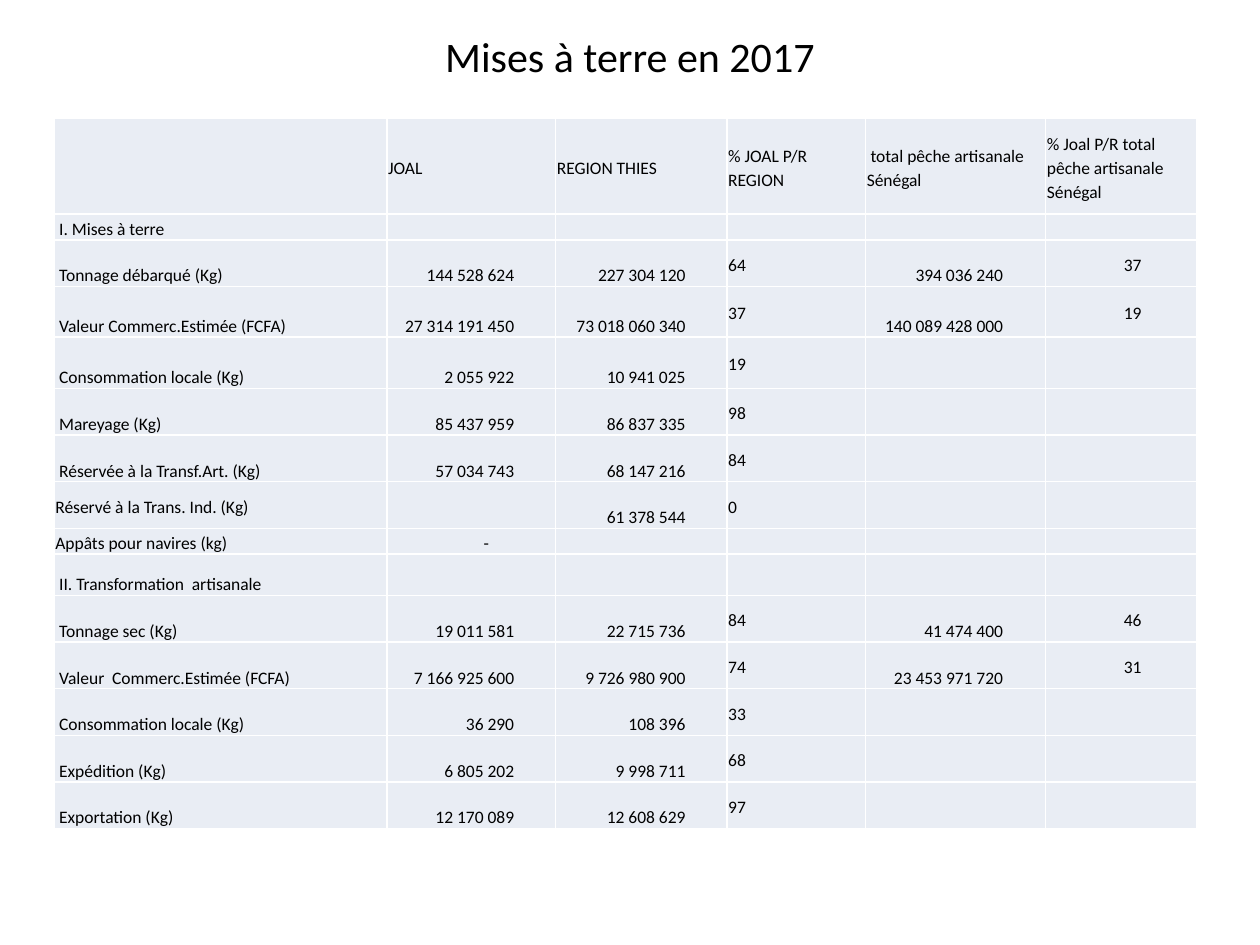
"""Build the slide on the 2017 landings at Joal."""
from dataclasses import dataclass

from lxml import etree
from pptx import Presentation
from pptx import util as u
from pptx.dml.color import RGBColor
from pptx.enum import text
from pptx.oxml import ns


@dataclass(frozen=True)
class Theme:
    """Hold the font, colours and type sizes."""
    font: str = "Calibri"
    ink: str = "000000"
    fill: str = "E9EDF4"
    rule: str = "FFFFFF"
    title: int = 24
    body: int = 10


HEAD = ["", "JOAL", "REGION THIES", "% JOAL P/R REGION",
        "total pêche artisanale Sénégal",
        "% Joal P/R total pêche artisanale Sénégal"]
DATA = [
    ["I. Mises à terre"],
    ["Tonnage débarqué (Kg)", "144 528 624", "227 304 120", "64", "394 036 240", "37"],
    ["Valeur Commerc.Estimée (FCFA)", "27 314 191 450", "73 018 060 340", "37",
     "140 089 428 000", "19"],
    ["Consommation locale (Kg)", "2 055 922", "10 941 025", "19"],
    ["Mareyage (Kg)", "85 437 959", "86 837 335", "98"],
    ["Réservée à la Transf.Art. (Kg)", "57 034 743", "68 147 216", "84"],
    ["Réservé à la Trans. Ind. (Kg)", "", "61 378 544", "0"],
    ["Appâts pour navires (kg)", "-"],
    ["II. Transformation  artisanale"],
    ["Tonnage sec (Kg)", "19 011 581", "22 715 736", "84", "41 474 400", "46"],
    ["Valeur  Commerc.Estimée (FCFA)", "7 166 925 600", "9 726 980 900", "74",
     "23 453 971 720", "31"],
    ["Consommation locale (Kg)", "36 290", "108 396", "33"],
    ["Expédition (Kg)", "6 805 202", "9 998 711", "68"],
    ["Exportation (Kg)", "12 170 089", "12 608 629", "97"],
]
WIDE = [26.4, 13.4, 13.6, 11, 14.3, 12]
TALL = [7.6, 1.9, 3.7, 4, 4.1, 3.7, 3.7, 3.7, 1.9, 3.3] + [3.7] * 5
PAD = {1: 3.3, 2: 3.3, 4: 3.4, 5: 4.4}
FLUSH = (7, 8)


class Deck:
    """Draw elements on a grid of 100 columns by 75 rows."""

    def __init__(self, theme):
        """Open a deck with one title-only slide."""
        self.theme = theme
        self.prs = Presentation()
        self.prs.slide_width, self.prs.slide_height = u.Inches(10), u.Inches(7.5)
        self.slide = self.prs.slides.add_slide(self.prs.slide_layouts[5])

    def unit(self, num):
        """Turn grid units into a length."""
        return int(self.prs.slide_width * num / 100)

    def style(self, par, size):
        """Format the runs of a paragraph."""
        for run in par.runs:
            run.font.name, run.font.size = self.theme.font, u.Pt(size)
            run.font.color.rgb = RGBColor.from_string(self.theme.ink)

    def title(self, words, *box):
        """Place and fill the title."""
        shape = self.slide.shapes.title
        shape.left, shape.top, shape.width, shape.height = map(self.unit, box)
        shape.text_frame.text = words
        shape.text_frame.vertical_anchor = text.MSO_ANCHOR.MIDDLE
        par = shape.text_frame.paragraphs[0]
        par.alignment = text.PP_ALIGN.CENTER
        self.style(par, self.theme.title)

    def edge(self, cell):
        """Draw the four borders of a cell."""
        props = cell._tc.get_or_add_tcPr()
        for side in ("lnL", "lnR", "lnT", "lnB"):
            line = etree.SubElement(props, ns.qn("a:" + side), w=str(u.Pt(1)))
            paint = etree.SubElement(line, ns.qn("a:solidFill"))
            etree.SubElement(paint, ns.qn("a:srgbClr"), val=self.theme.rule)

    def cell(self, cell, words, row, col):
        """Fill and format one cell by its place in the table."""
        self.edge(cell)
        cell.fill.solid()
        cell.fill.fore_color.rgb = RGBColor.from_string(self.theme.fill)
        cell.margin_left = cell.margin_right = cell.margin_top = self.unit(0.1)
        cell.margin_bottom = 0
        cell.text_frame.text = words
        par = cell.text_frame.paragraphs[0]
        par.line_spacing, par.space_after = 1.15, u.Pt(10)
        mid = row == 0 or col in (3, 5) or (col == 0 and row in FLUSH)
        cell.vertical_anchor = text.MSO_ANCHOR.MIDDLE if mid else text.MSO_ANCHOR.BOTTOM
        if row and col in PAD:
            par.alignment = text.PP_ALIGN.RIGHT
            cell.margin_right = self.unit(PAD[col] + 2 * (words == "-"))
        elif col == 0 and not mid:
            cell.margin_left = self.unit(0.4)
        elif row == 0 and col == 4:
            par._p.get_or_add_pPr().set("indent", str(self.unit(0.3)))
        self.style(par, self.theme.body)
        if not words:
            end = etree.SubElement(par._p, ns.qn("a:endParaRPr"))
            end.set("sz", str(self.theme.body * 100))

    def table(self, rows, left, top):
        """Add the table at a grid point."""
        box = map(self.unit, (left, top, sum(WIDE), sum(TALL)))
        grid = self.slide.shapes.add_table(len(rows), len(WIDE), *box).table
        grid.first_row = grid.horz_banding = False
        for col, wide in zip(grid.columns, WIDE):
            col.width = self.unit(wide)
        for row, tall in zip(grid.rows, TALL):
            row.height = self.unit(tall)
        for r, row in enumerate(rows):
            for c in range(len(WIDE)):
                self.cell(grid.cell(r, c), row[c] if c < len(row) else "", r, c)


def main():
    """Build and save the deck."""
    deck = Deck(Theme())
    deck.title("Mises à terre en 2017", 5, 0.5, 90, 7.9)
    deck.table([HEAD] + DATA, 4.3, 9.4)
    deck.prs.save("out.pptx")


if __name__ == "__main__":
    main()
